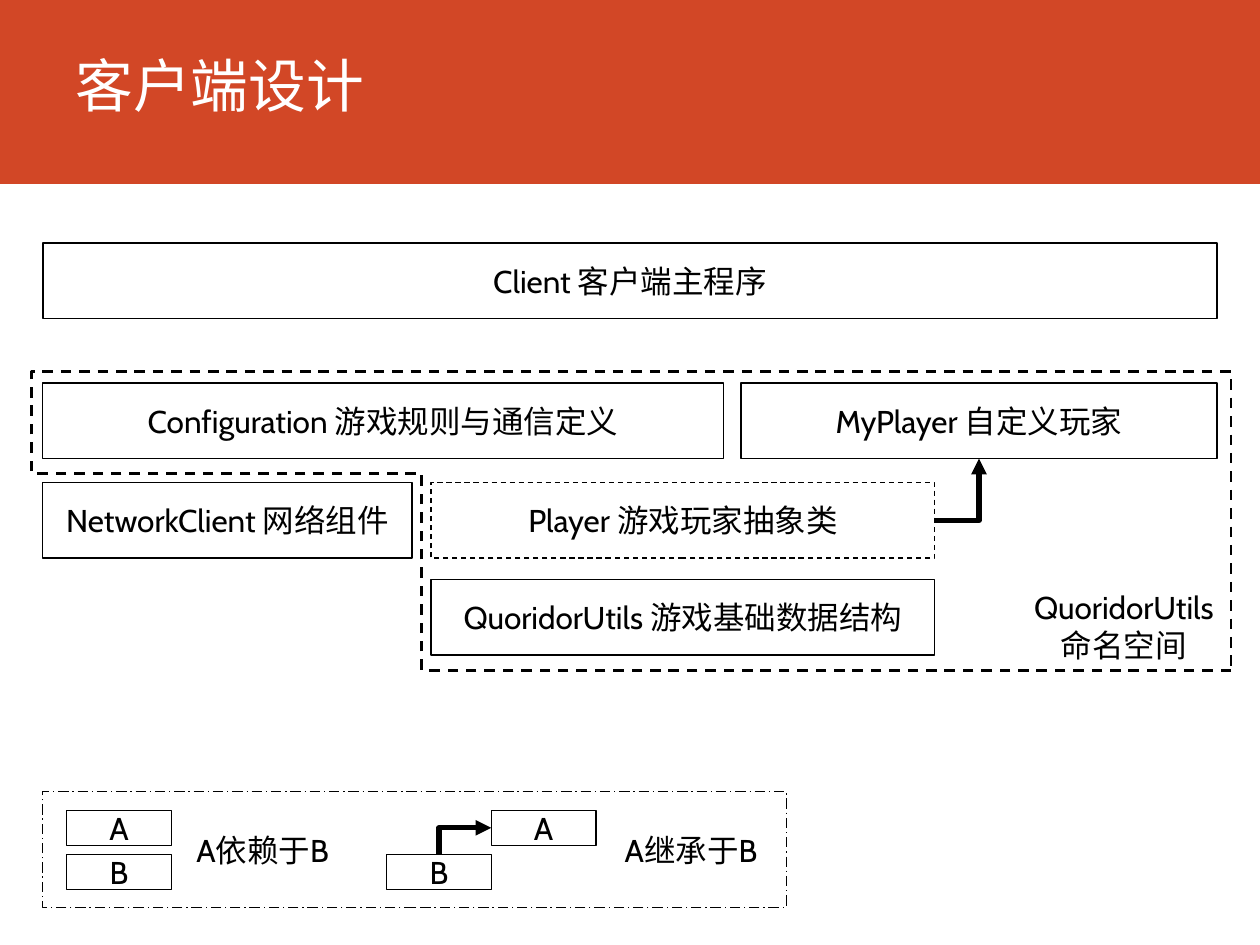
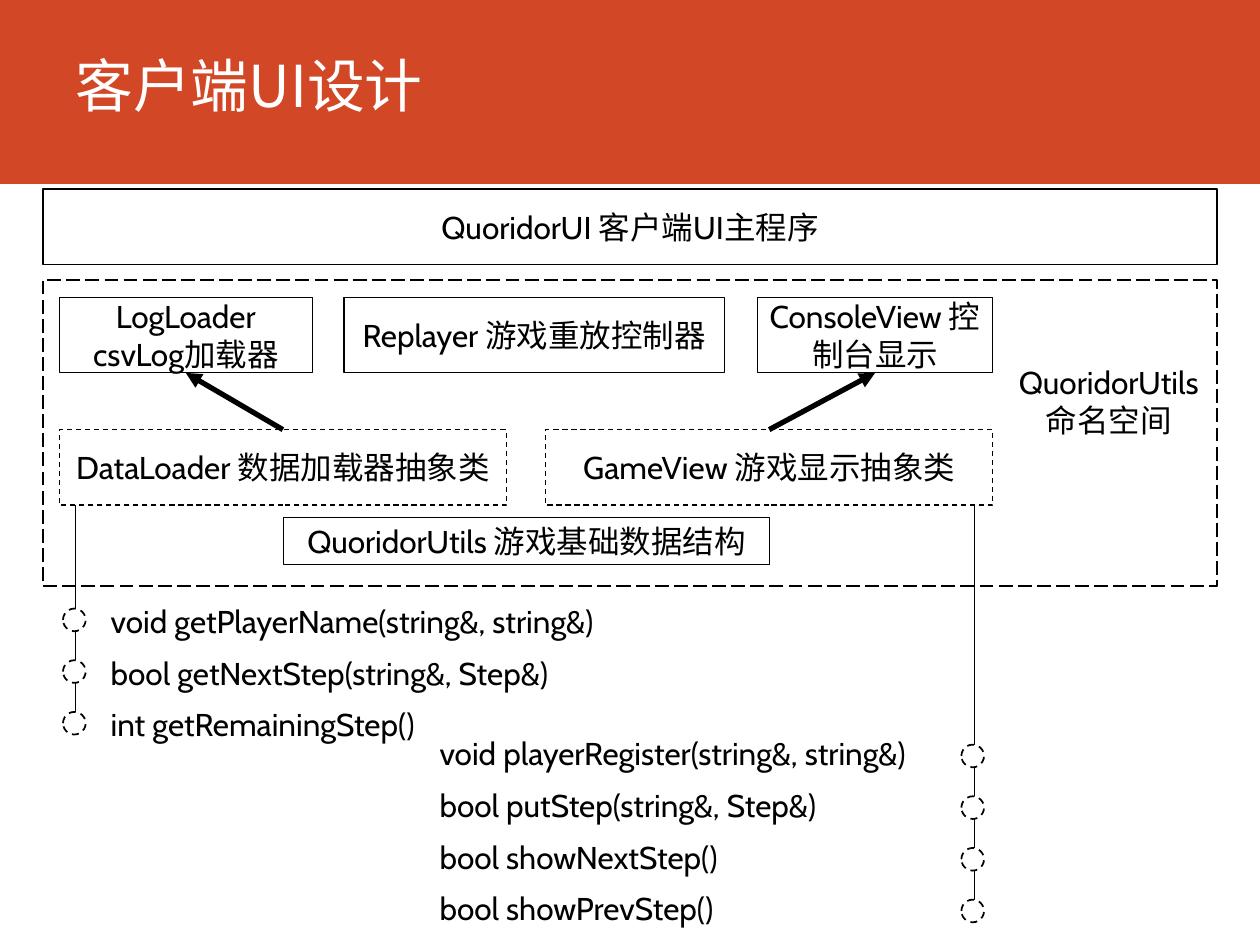
from dataclasses import dataclass

from lxml import etree
from pptx import Presentation
from pptx.dml.color import RGBColor
from pptx.enum.dml import MSO_LINE
from pptx.enum.shapes import MSO_CONNECTOR, MSO_SHAPE
from pptx.enum.text import MSO_ANCHOR, PP_ALIGN
from pptx.oxml.ns import qn
from pptx.shapes.autoshape import Shape
from pptx.shapes.connector import Connector
from pptx.slide import Slide
from pptx.util import Pt

PX = 9144  # EMU per px, 100 px to the inch
SLIDE_WIDTH, SLIDE_HEIGHT = 1000, 750

BAND = RGBColor(0xD2, 0x47, 0x26)
WHITE = RGBColor(0xFF, 0xFF, 0xFF)
BLACK = RGBColor(0x00, 0x00, 0x00)
LATIN_FONT = "Cabin"
CHINESE_FONT = "Noto Sans CJK SC"

RECTANGLE = MSO_SHAPE.RECTANGLE
CORNER = MSO_SHAPE.CORNER
DOT = MSO_SHAPE.FLOWCHART_CONNECTOR
STRAIGHT, ELBOW = MSO_CONNECTOR.STRAIGHT, MSO_CONNECTOR.ELBOW
SOLID, DASH = MSO_LINE.SOLID, MSO_LINE.DASH
LONG_DASH, LONG_DASH_DOT = MSO_LINE.LONG_DASH, MSO_LINE.LONG_DASH_DOT
LEFT, CENTER = PP_ALIGN.LEFT, PP_ALIGN.CENTER
TOP, MIDDLE = MSO_ANCHOR.TOP, MSO_ANCHOR.MIDDLE
TOP_SITE, LEFT_SITE, BOTTOM_SITE, RIGHT_SITE = range(4)

BODY_FORMAT = {"name": LATIN_FONT, "size": Pt(18)}
TITLE_FORMAT = {"name": CHINESE_FONT, "size": Pt(33)}

NAMESPACE_TEXT = "QuoridorUtils\n命名空间"
UTILS_TEXT = "QuoridorUtils 游戏基础数据结构"
ROW_HEIGHT = 60
DOT_SIZE = 18
METHOD_PITCH = 41


@dataclass(frozen=True)
class Box:
    left: int
    top: int
    width: int
    height: int = ROW_HEIGHT
    text: str = ""
    dash: MSO_LINE = SOLID
    line_width: float = 0.75
    geometry: MSO_SHAPE = RECTANGLE
    fill: RGBColor | None = None


@dataclass(frozen=True)
class Label:
    left: int
    top: int
    width: int
    height: int
    text: str
    align: PP_ALIGN = LEFT


@dataclass(frozen=True)
class MethodList:
    dot_left: int
    dot_top: int
    text_left: int
    text_lift: int
    methods: tuple[str, ...]


CLIENT_BOXES = {
    "network": Box(34, 383, 293, text="NetworkClient 网络组件"),
    "configuration": Box(34, 304, 540, text="Configuration 游戏规则与通信定义"),
    "player": Box(342, 383, 400, text="Player 游戏玩家抽象类", dash=DASH),
    "utils": Box(342, 460, 400, text=UTILS_TEXT),
    "client": Box(34, 193, 932, text="Client 客户端主程序"),
    "my_player": Box(588, 304, 378, text="MyPlayer 自定义玩家"),
    "depends_a": Box(53, 643, 83, 28, "A"),
    "depends_b": Box(53, 678, 83, 28, "B"),
    "inherits_a": Box(390, 643, 83, 28, "A"),
    "inherits_b": Box(307, 678, 83, 28, "B"),
    "legend": Box(34, 628, 590, 92, dash=LONG_DASH_DOT),
}
CLIENT_NAMESPACE = Box(25, 295, 952, 237, dash=DASH, line_width=1.5, geometry=CORNER)
CLIENT_LABELS = (
    Label(807, 462, 170, 71, NAMESPACE_TEXT, CENTER),
    Label(146, 655, 127, 40, "A依赖于B"),
    Label(486, 655, 127, 40, "A继承于B"),
)

UI_BOXES = {
    "game_view": Box(433, 341, 355, text="GameView 游戏显示抽象类", dash=DASH),
    "quoridor_ui": Box(34, 150, 932, text="QuoridorUI 客户端UI主程序"),
    "console_view": Box(601, 236, 187, text="ConsoleView 控制台显示"),
    "data_loader": Box(47, 341, 355, text="DataLoader 数据加载器抽象类", dash=DASH),
    "log_loader": Box(47, 236, 201, text="LogLoader csvLog加载器"),
    "namespace": Box(34, 222, 932, 243, dash=LONG_DASH, line_width=1),
    "replayer": Box(273, 236, 302, text="Replayer 游戏重放控制器"),
    "utils": Box(225, 411, 386, 37, UTILS_TEXT),
}
UI_NAMESPACE_LABEL = Label(795, 283, 170, 71, NAMESPACE_TEXT, CENTER)
UI_STEMS = ((773, 401, 731), (60, 401, 582))
UI_METHOD_LISTS = (
    MethodList(50, 483, 78, 10, (
        "void getPlayerName(string&, string&)",
        "bool getNextStep(string&, Step&)",
        "int getRemainingStep()",
    )),
    MethodList(763, 591, 339, 13, (
        "void playerRegister(string&, string&)",
        "bool putStep(string&, Step&)",
        "bool showNextStep()",
        "bool showPrevStep()",
    )),
)


def scaled(*lengths: int) -> list[int]:
    return [length * PX for length in lengths]


def write_text(shape: Shape, text: str, align: PP_ALIGN, anchor: MSO_ANCHOR,
               font_format: dict, color: RGBColor) -> None:
    frame = shape.text_frame
    frame.text = text
    frame.word_wrap = True
    frame.vertical_anchor = anchor
    for paragraph in frame.paragraphs:
        paragraph.alignment = align
        for run in paragraph.runs:
            for name, value in font_format.items():
                setattr(run.font, name, value)
            run.font.color.rgb = color
            properties = run._r.get_or_add_rPr()
            etree.SubElement(properties, qn("a:ea"), typeface=CHINESE_FONT)


def add_box(slide: Slide, box: Box) -> Shape:
    shape = slide.shapes.add_shape(
        box.geometry, *scaled(box.left, box.top, box.width, box.height))
    shape.shadow.inherit = False
    if box.fill is None:
        shape.fill.background()
    else:
        shape.fill.solid()
        shape.fill.fore_color.rgb = box.fill
    if box.line_width:
        shape.line.color.rgb = BLACK
        shape.line.width = Pt(box.line_width)
        shape.line.dash_style = box.dash
    else:
        shape.line.fill.background()
    if box.text:
        write_text(shape, box.text, CENTER, MIDDLE, BODY_FORMAT, BLACK)
    return shape


def add_boxes(slide: Slide, boxes: dict[str, Box]) -> dict[str, Shape]:
    return {name: add_box(slide, box) for name, box in boxes.items()}


def add_label(slide: Slide, label: Label, anchor: MSO_ANCHOR = TOP,
              font_format: dict = BODY_FORMAT, color: RGBColor = BLACK) -> None:
    shape = slide.shapes.add_textbox(
        *scaled(label.left, label.top, label.width, label.height))
    write_text(shape, label.text, label.align, anchor, font_format, color)


def add_line(slide: Slide, kind: MSO_CONNECTOR, ends: tuple[int, int, int, int],
             width: float) -> Connector:
    connector = slide.shapes.add_connector(kind, *scaled(*ends))
    connector.line.color.rgb = BLACK
    connector.line.width = Pt(width)
    etree.SubElement(connector._element.spPr, qn("a:effectLst"))
    return connector


def link(slide: Slide, begin: Shape, begin_site: int, end: Shape, end_site: int,
         kind: MSO_CONNECTOR = STRAIGHT, arrow: str = "a:tailEnd") -> None:
    """Join two boxes with a heavy arrow; an elbow has a single bend."""
    connector = add_line(slide, kind, (0, 0, 0, 0), 3)
    connector.begin_connect(begin, begin_site)
    connector.end_connect(end, end_site)
    if kind == ELBOW:
        geometry = connector._element.spPr.find(qn("a:prstGeom"))
        geometry.set("prst", "bentConnector2")
    line = connector._element.spPr.find(qn("a:ln"))
    etree.SubElement(line, qn(arrow), type="triangle")


def add_method_list(slide: Slide, method_list: MethodList) -> None:
    for index, method in enumerate(method_list.methods):
        top = method_list.dot_top + index * METHOD_PITCH
        add_box(slide, Box(method_list.dot_left, top, DOT_SIZE, DOT_SIZE, dash=DASH,
                           line_width=1, geometry=DOT, fill=WHITE))
        add_label(slide, Label(method_list.text_left, top - method_list.text_lift,
                               439, 40, method))


def add_titled_slide(presentation: Presentation, title: str) -> Slide:
    slide = presentation.slides.add_slide(presentation.slide_layouts[6])
    add_box(slide, Box(0, 0, SLIDE_WIDTH, 146, line_width=0, fill=BAND))
    add_label(slide, Label(50, 0, 881, 134, title), MIDDLE, TITLE_FORMAT, WHITE)
    return slide


def build_client_slide(presentation: Presentation) -> None:
    slide = add_titled_slide(presentation, "客户端设计")
    boxes = add_boxes(slide, CLIENT_BOXES)
    namespace = add_box(slide, CLIENT_NAMESPACE)
    namespace.rotation = 180
    namespace.adjustments[0] = 0.34
    namespace.adjustments[1] = 2.71
    link(slide, boxes["player"], RIGHT_SITE, boxes["my_player"], BOTTOM_SITE, ELBOW)
    link(slide, boxes["inherits_a"], LEFT_SITE, boxes["inherits_b"], TOP_SITE,
         ELBOW, "a:headEnd")
    for label in CLIENT_LABELS:
        add_label(slide, label)


def build_ui_slide(presentation: Presentation) -> None:
    slide = add_titled_slide(presentation, "客户端UI设计")
    for x, top, bottom in UI_STEMS:
        add_line(slide, STRAIGHT, (x, top, x, bottom), 0.5)
    boxes = add_boxes(slide, UI_BOXES)
    for parent, child in (("data_loader", "log_loader"), ("game_view", "console_view")):
        link(slide, boxes[parent], TOP_SITE, boxes[child], BOTTOM_SITE)
    add_label(slide, UI_NAMESPACE_LABEL)
    for method_list in UI_METHOD_LISTS:
        add_method_list(slide, method_list)


def main() -> None:
    presentation = Presentation()
    presentation.slide_width, presentation.slide_height = scaled(SLIDE_WIDTH, SLIDE_HEIGHT)
    build_client_slide(presentation)
    build_ui_slide(presentation)
    presentation.save("out.pptx")


if __name__ == "__main__":
    main()
